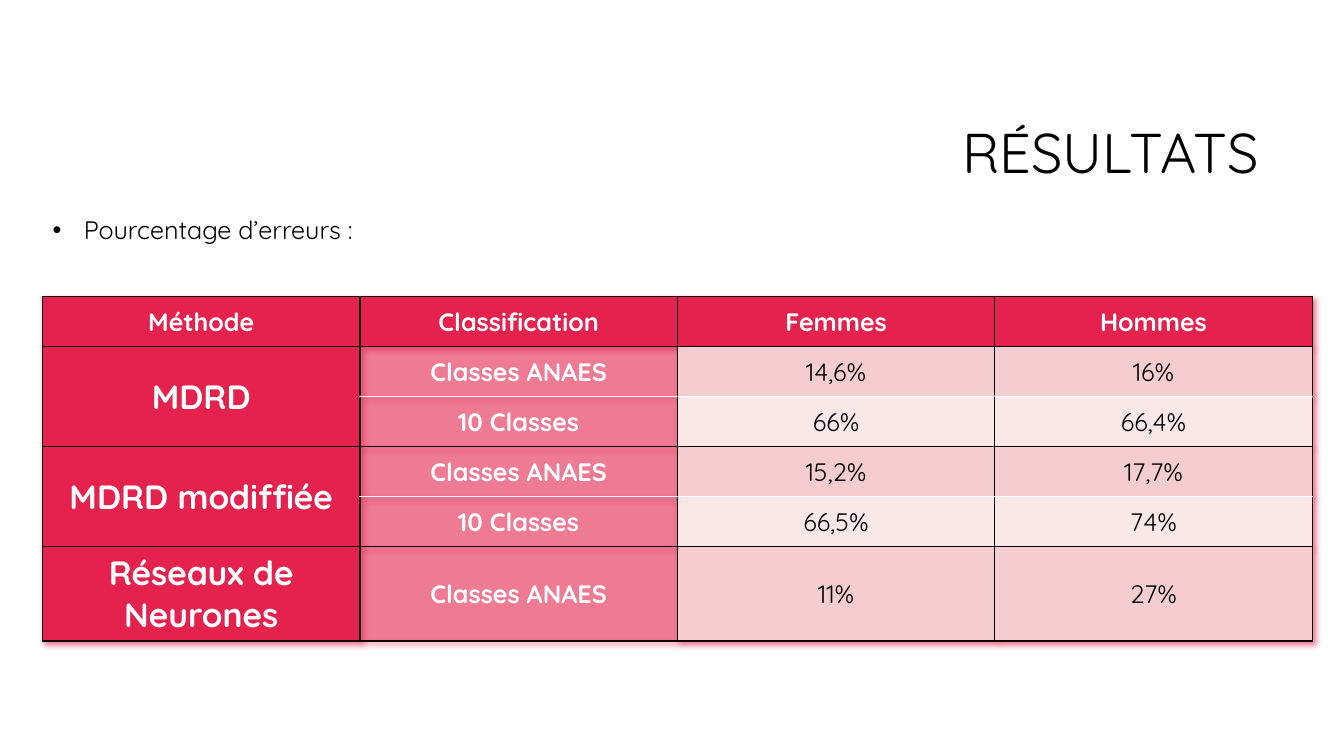
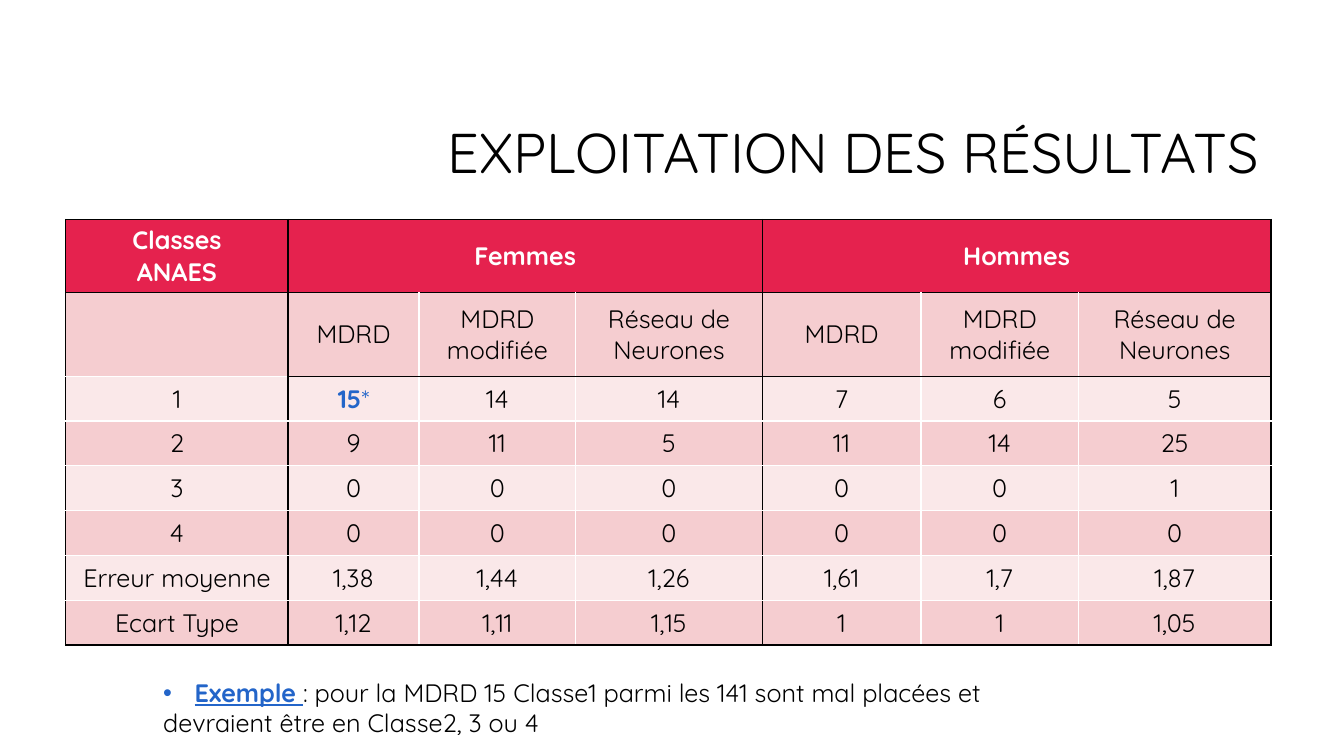
"""Build two slides of results tables on kidney function classes."""
import dataclasses

import lxml.etree
import pptx
import pptx.dml.color
import pptx.enum.text
import pptx.oxml.ns
import pptx.util

Cm = pptx.util.Cm
Pt = pptx.util.Pt
qn = pptx.oxml.ns.qn
ALIGN = pptx.enum.text.PP_ALIGN
ANCHOR = pptx.enum.text.MSO_ANCHOR
FIT = pptx.enum.text.MSO_AUTO_SIZE


@dataclasses.dataclass(frozen=True)
class Theme:
    font: str = "Quicksand"
    red: str = "E5224E"
    rose: str = "F5CDD0"
    blush: str = "FAE8E9"
    blue: str = "2365C9"
    black: str = "000000"
    white: str = "FFFFFF"
    title: int = 40
    large: int = 24
    text: int = 18
    line: int = 1
    veil: int = 45
    shade: int = 60


THEME = Theme()
PAGE = (33.87, 19.05)
TITLE = (8.05, 2.13, 23.93, 3.58)
INDENT = 0.79
NAMES = ["MDRD", "MDRD modifiée", "Réseau de Neurones"]

SLIDES = [
    {
        "title": "RÉSULTATS",
        "list": [("•", [("Pourcentage d’erreurs :", {})])],
        "box": (1.07, 5.28, 12.34, 1.03),
        "table": {
            "at": (1.07, 7.48),
            "cols": [8.0] * 4,
            "rows": [1.26] * 5 + [2.37],
            "cells": [
                ["Méthode", "Classification", "Femmes", "Hommes"],
                ["MDRD", "Classes ANAES", "14,6%", "16%"],
                ["", "10 Classes", "66%", "66,4%"],
                ["MDRD modiffiée", "Classes ANAES", "15,2%", "17,7%"],
                ["", "10 Classes", "66,5%", "74%"],
                ["Réseaux de Neurones", "Classes ANAES", "11%", "27%"],
            ],
            "spans": {(1, 0): (2, 1), (3, 0): (2, 1)},
            "dark": ({0, 1, 3, 5, 6}, {0, 1, 2, 3, 4}),
            "open": set(),
            "heads": True,
            "shadow": True,
        },
    },
    {
        "title": "EXPLOITATION DES RÉSULTATS",
        "list": [
            ("•", [
                ("Exemple ", {"color": THEME.blue, "bold": True, "line": True}),
                (": pour la MDRD 15 Classe1 parmi les 141 sont mal placées et", {}),
            ]),
            ("", [("devraient être en Classe2, 3 ou 4", {})]),
        ],
        "box": (3.86, 16.94, 26.31, 1.8),
        "table": {
            "at": (1.66, 5.53),
            "cols": [5.6, 3.3, 3.95, 4.7, 4.0, 3.97, 4.85],
            "rows": [1.85, 2.1] + [1.13] * 6,
            "cells": [
                ["Classes\nANAES", "Femmes", "", "", "Hommes", "", ""],
                ["", *NAMES, *NAMES],
                ["1", [("15", {"color": THEME.blue, "bold": True}),
                       ("*", {"color": THEME.blue})], "14", "14", "7", "6", "5"],
                ["2", "9", "11", "5", "11", "14", "25"],
                ["3", "0", "0", "0", "0", "0", "1"],
                ["4", "0", "0", "0", "0", "0", "0"],
                ["Erreur moyenne", "1,38", "1,44", "1,26", "1,61", "1,7", "1,87"],
                ["Ecart Type", "1,12", "1,11", "1,15", "1", "1", "1,05"],
            ],
            "spans": {(0, 1): (1, 3), (0, 4): (1, 3)},
            "dark": ({0, 1, 2, 8}, {0, 1, 4, 7}),
            "open": {(2, 0)},
            "heads": False,
            "shadow": False,
        },
    },
]


def rgb(code):
    return pptx.dml.color.RGBColor.from_string(code)


def node(parent, tag, **attrs):
    return lxml.etree.SubElement(parent, qn(tag), attrs)


def place(shape, box):
    shape.left, shape.top, shape.width, shape.height = map(Cm, box)


def style(font, size, color, bold=False):
    font.name = THEME.font
    font.size = Pt(size)
    font.bold = bold
    font.color.rgb = rgb(color)


def write(par, parts, size=THEME.text, color=THEME.black, bold=False):
    style(par.font, size, color, bold)
    for text, look in parts:
        run = par.add_run()
        run.text = text
        if "color" in look:
            run.font.color.rgb = rgb(look["color"])
        if "bold" in look:
            run.font.bold = look["bold"]
        if "line" in look:
            run.font.underline = look["line"]


def set_title(shape, text):
    frame = shape.text_frame
    frame.auto_size = FIT.NONE
    frame.vertical_anchor = ANCHOR.MIDDLE
    par = frame.paragraphs[0]
    par.alignment = ALIGN.RIGHT
    par.line_spacing = 0.9
    write(par, [(text, {})], THEME.title)


def set_list(shape, items, box):
    place(shape, box)
    frame = shape.text_frame
    frame.auto_size = FIT.NONE
    frame.word_wrap = True
    for i, (mark, parts) in enumerate(items):
        par = frame.add_paragraph() if i else frame.paragraphs[0]
        par.space_before = Pt(0)
        props = par._p.get_or_add_pPr()
        step = Cm(INDENT) if mark else 0
        props.set("marL", str(step))
        props.set("indent", str(-step))
        if mark:
            tint = node(props, "a:buClr")
            node(tint, "a:srgbClr", val=parts[0][1].get("color", THEME.black))
            node(props, "a:buFont", typeface="Arial")
            node(props, "a:buChar", char=mark)
        else:
            node(props, "a:buNone")
        write(par, parts)


def set_edges(cell, sides):
    props = cell._tc.get_or_add_tcPr()
    for i, (side, dark) in enumerate(sides):
        line = lxml.etree.Element(qn("a:ln" + side), w=str(Pt(THEME.line)))
        fill = node(line, "a:solidFill")
        node(fill, "a:srgbClr", val=THEME.black if dark else THEME.white)
        props.insert(i, line)


def set_fill(cell, color, alpha=None):
    cell.fill.solid()
    cell.fill.fore_color.rgb = rgb(color)
    if alpha:
        tint = cell._tc.tcPr.find(".//" + qn("a:srgbClr"))
        node(tint, "a:alpha", val=str(alpha * 1000))


def add_shadow(table):
    group = lxml.etree.Element(qn("a:effectLst"))
    shade = node(group, "a:outerShdw", blurRad=str(Pt(4)), dist=str(Pt(3)),
                 dir="2700000", algn="tl", rotWithShape="0")
    tint = node(shade, "a:srgbClr", val=THEME.red)
    node(tint, "a:alpha", val=str(THEME.shade * 1000))
    table._tbl.tblPr.insert(0, group)


def set_cell(cell, value, row, col, data):
    head = row == 0
    lead = data["heads"] and col == 0
    veil = data["heads"] and col == 1 and not head
    if head or lead or veil:
        set_fill(cell, THEME.red, THEME.veil if veil else None)
    else:
        set_fill(cell, THEME.rose if row % 2 else THEME.blush)

    high, wide = data["spans"].get((row, col), (1, 1))
    flat, tall = data["dark"]
    ends = [("T", row), ("B", row + high)]
    rules = {side: at in flat and (at, col) not in data["open"]
             for side, at in ends}
    set_edges(cell, [("L", col in tall), ("R", col + wide in tall),
                     *rules.items()])

    cell.vertical_anchor = ANCHOR.MIDDLE
    if not value:
        return
    strong = head or lead or veil
    size = THEME.large if lead and not head else THEME.text
    lines = [value]
    if isinstance(value, str):
        lines = [[(text, {})] for text in value.split("\n")]
    frame = cell.text_frame
    for i, parts in enumerate(lines):
        par = frame.add_paragraph() if i else frame.paragraphs[0]
        par.alignment = ALIGN.CENTER
        write(par, parts, size, THEME.white if strong else THEME.black, strong)


def put_table(slide, data):
    cols, rows = data["cols"], data["rows"]
    box = (*data["at"], sum(cols), sum(rows))
    table = slide.shapes.add_table(len(rows), len(cols), *map(Cm, box)).table
    table.first_row = False
    table.horz_banding = False
    for col, width in zip(table.columns, cols):
        col.width = Cm(width)
    for row, height in zip(table.rows, rows):
        row.height = Cm(height)
    for (row, col), (high, wide) in data["spans"].items():
        end = table.cell(row + high - 1, col + wide - 1)
        table.cell(row, col).merge(end)
    for row, values in enumerate(data["cells"]):
        for col, value in enumerate(values):
            set_cell(table.cell(row, col), value, row, col, data)
    if data["shadow"]:
        add_shadow(table)


def main():
    deck = pptx.Presentation()
    deck.slide_width, deck.slide_height = map(Cm, PAGE)
    layout = deck.slide_layouts[1]
    place(layout.placeholders[0], TITLE)
    for page in SLIDES:
        slide = deck.slides.add_slide(layout)
        set_title(slide.shapes.title, page["title"])
        set_list(slide.placeholders[1], page["list"], page["box"])
        put_table(slide, page["table"])
    deck.save("out.pptx")


if __name__ == "__main__":
    main()
